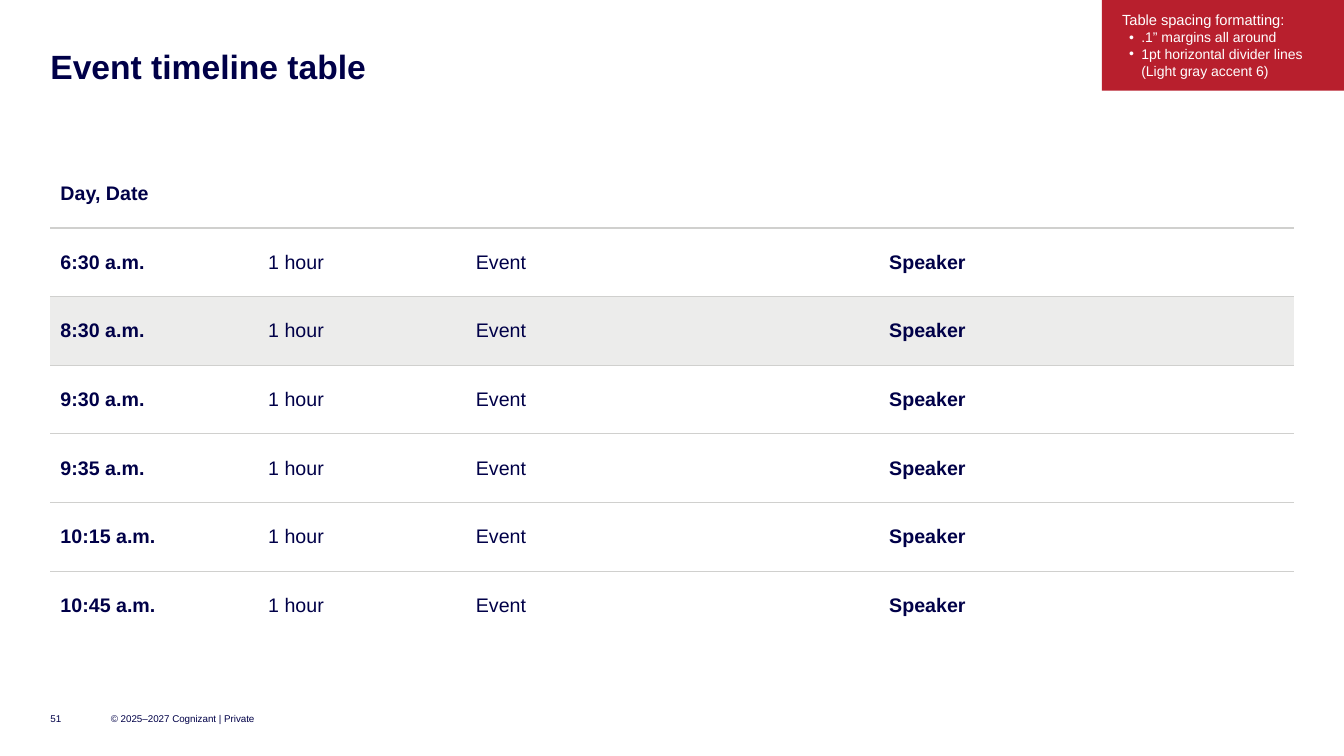
from lxml.etree import SubElement
from pptx import Presentation
from pptx.dml.color import RGBColor
from pptx.enum.shapes import MSO_SHAPE
from pptx.enum.text import MSO_ANCHOR, PP_ALIGN
from pptx.oxml.ns import qn
from pptx.util import Inches, Pt

NAVY, RED, WHITE, DIVIDER, BAND = "000048", "B81F2D", "FFFFFF", "D0D0CE", "ECECEB"
TITLE = "Event timeline table"
FOOTERS = [(0.5, 0.4, "51"), (1.1, 1.5, "© 2025–2027\u00a0Cognizant | Private")]
NOTE = ["Table spacing formatting:", ".1” margins all around",
        "1pt horizontal divider lines (Light gray accent 6)"]
TIMES = ["6:30 a.m.", "8:30 a.m.", "9:30 a.m.", "9:35 a.m.", "10:15 a.m.", "10:45 a.m."]
ROWS = [("Day, Date", "", "", "")] + [(t, "1 hour", "Event", "Speaker") for t in TIMES]
COL_WIDTHS = [2.06, 2.06, 4.1, 4.11]
BOLD_COLS = (0, 3)
BAND_ROW = 2
ROW_HEIGHT = 4.77 / len(ROWS)


def rgb(value):
    return RGBColor.from_string(value)


def style(target, **values):
    for name, value in values.items():
        setattr(target, name, value)


def write(p, text, size, color=NAVY, bold=False):
    p.alignment = PP_ALIGN.LEFT
    font = p.font
    if text:
        r = p.add_run()
        r.text = text
        font = r.font
    style(font, size=Pt(size), name="Arial", bold=bold)
    font.color.rgb = rgb(color)


def set_frame(tf, x=0, y=0, anchor=MSO_ANCHOR.MIDDLE):
    style(tf, word_wrap=True, vertical_anchor=anchor, margin_left=Inches(x),
          margin_right=Inches(x), margin_top=Inches(y), margin_bottom=Inches(y))


def add_text(s, box, text, size, bold=False, anchor=MSO_ANCHOR.MIDDLE):
    tf = s.shapes.add_textbox(*map(Inches, box)).text_frame
    set_frame(tf, anchor=anchor)
    write(tf.paragraphs[0], text, size, bold=bold)
    return tf.paragraphs[0]


def set_borders(cell, sides):
    tc_pr = cell._tc.get_or_add_tcPr()
    for side in "LRTB":
        ln = SubElement(tc_pr, qn(f"a:ln{side}"), w=str(Pt(1)))
        if side in sides:
            fill = SubElement(ln, qn("a:solidFill"))
            SubElement(fill, qn("a:srgbClr"), val=DIVIDER)
        else:
            SubElement(ln, qn("a:noFill"))


def add_timeline(s):
    table = s.shapes.add_table(len(ROWS), len(COL_WIDTHS), Inches(0.5), Inches(1.58),
                               Inches(sum(COL_WIDTHS)), Inches(4.77)).table
    style(table, first_row=False, horz_banding=False)
    for column, width in zip(table.columns, COL_WIDTHS):
        column.width = Inches(width)
    for i, row in enumerate(ROWS):
        table.rows[i].height = Inches(ROW_HEIGHT)
        sides = ("T" if i > 0 else "") + ("B" if i < len(ROWS) - 1 else "")
        for j, text in enumerate(row):
            cell = table.cell(i, j)
            margins = ("margin_left", "margin_right", "margin_top", "margin_bottom")
            style(cell, vertical_anchor=MSO_ANCHOR.MIDDLE, **dict.fromkeys(margins, Inches(0.1)))
            set_borders(cell, sides)
            if i == BAND_ROW:
                cell.fill.solid()
                cell.fill.fore_color.rgb = rgb(BAND)
            else:
                cell.fill.background()
            write(cell.text_frame.paragraphs[0], text, 14, bold=j in BOLD_COLS)


def add_note(s):
    sp = s.shapes.add_shape(MSO_SHAPE.RECTANGLE, *map(Inches, (10.93, 0, 2.4, 0.9)))
    sp.shadow.inherit = False
    sp.fill.solid()
    sp.fill.fore_color.rgb = rgb(RED)
    sp.line.fill.background()
    tf = sp.text_frame
    set_frame(tf, 0.2, 0.1)
    write(tf.paragraphs[0], NOTE[0], 10.5, WHITE)
    for text in NOTE[1:]:
        p = tf.add_paragraph()
        p_pr = p._p.get_or_add_pPr()
        p_pr.set("marL", str(Inches(0.19)))
        p_pr.set("indent", str(Inches(-0.12)))
        SubElement(p_pr, qn("a:buFont"), typeface="Arial")
        SubElement(p_pr, qn("a:buChar"), char="•")
        write(p, text, 10, WHITE)


def main():
    prs = Presentation()
    style(prs, slide_width=Inches(13.33), slide_height=Inches(7.5))
    s = prs.slides.add_slide(prs.slide_layouts[6])
    title = add_text(s, (0.5, 0.5, 12.33, 0.36), TITLE, 24, True, MSO_ANCHOR.TOP)
    title.line_spacing = 0.9
    add_timeline(s)
    for left, width, text in FOOTERS:
        add_text(s, (left, 7, width, 0.25), text, 7)
    add_note(s)
    prs.save("out.pptx")


if __name__ == "__main__":
    main()
